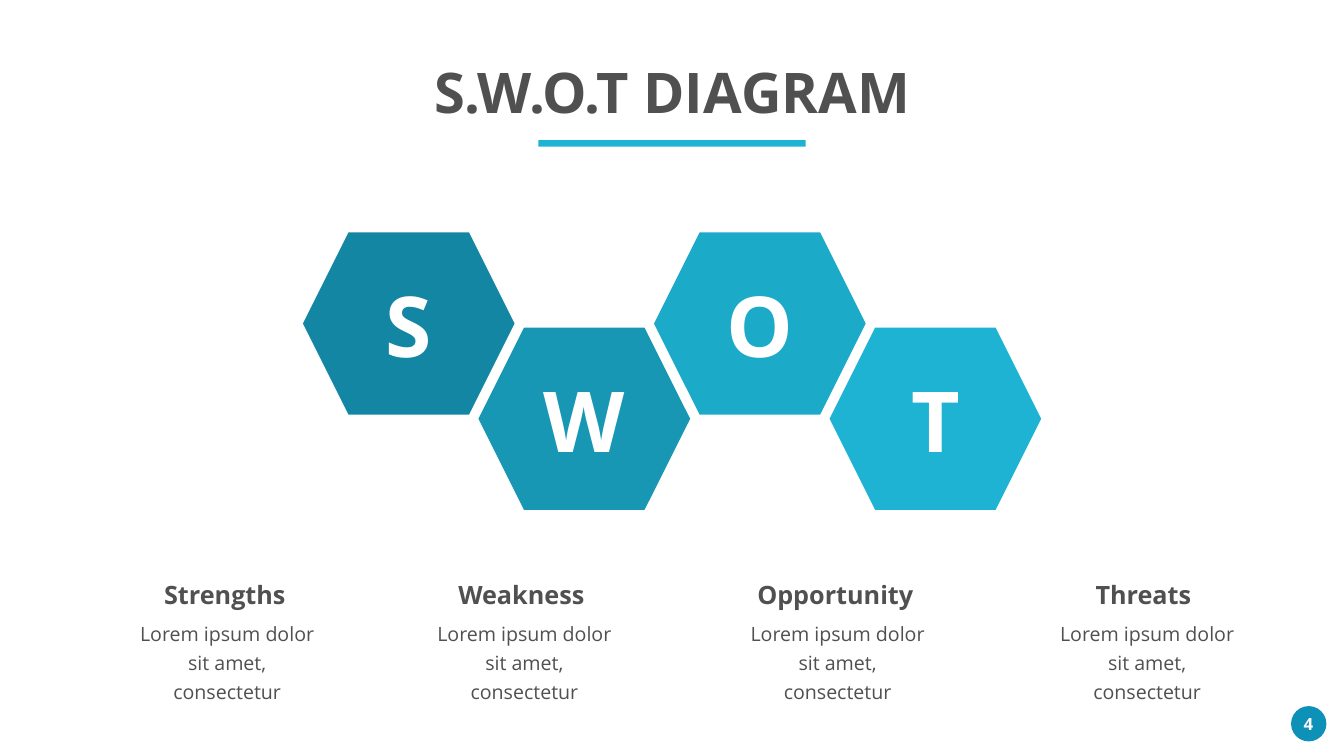
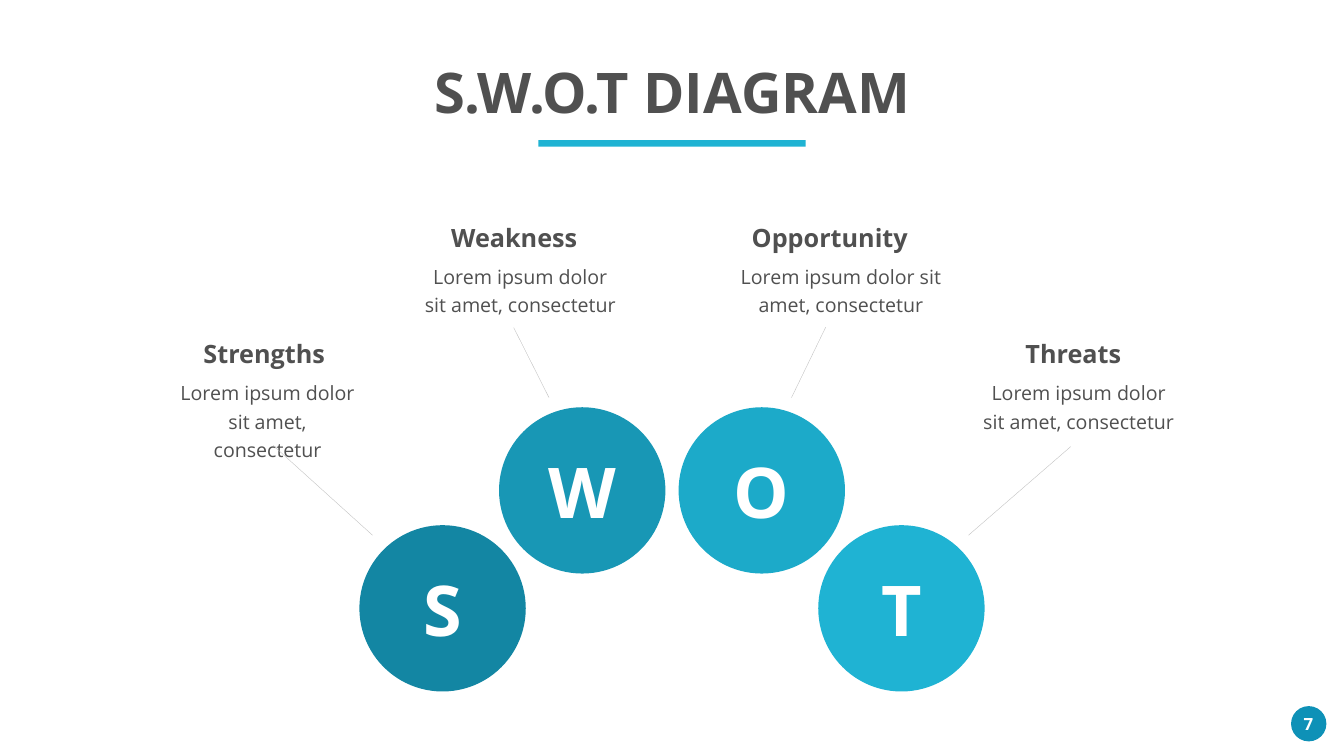
import dataclasses

import lxml.etree
import pptx
import pptx.dml.color
import pptx.enum.shapes
import pptx.enum.text
import pptx.oxml.ns
import pptx.util

SHAPE = pptx.enum.shapes.MSO_SHAPE
ANCHOR = pptx.enum.text.MSO_ANCHOR
FIXED = pptx.enum.text.MSO_AUTO_SIZE.NONE
CENTER = pptx.enum.text.PP_ALIGN.CENTER


@dataclasses.dataclass(frozen=True)
class Theme:
    font: str = "Open Sans"
    ink: str = "505050"
    white: str = "FFFFFF"
    accent: str = "1FB3D3"
    badge: str = "0E91B7"
    leader: str = "BFBFBF"
    series: tuple = ("1386A3", "1897B5", "1CAAC9", "1FB3D3")
    title_size: int = 80
    heading_size: int = 36
    body_size: int = 28
    body_leading: float = 40.8
    number_size: int = 24
    leader_width: float = 0.5


THEME = Theme()
LETTER_EMS = {"S": 0.56, "W": 0.98, "O": 0.81, "T": 0.61}
TOPICS = ("Strengths", "Weakness", "Opportunity", "Threats")
BODY = "Lorem ipsum dolor sit amet, consectetur"


def apply_format(target, values):
    for name, value in values.items():
        setattr(target, name, value)


def rgb(color):
    return pptx.dml.color.RGBColor.from_string(color)


class SlideBuilder:
    """Places elements by percentages of the slide's width and height."""

    def __init__(self, theme):
        self.theme = theme
        self.deck = pptx.Presentation()
        self.deck.slide_width = pptx.util.Inches(26.66)
        self.deck.slide_height = pptx.util.Inches(15)
        self.page = None

    def across(self, share):
        return round(self.deck.slide_width * share / 100)

    def down(self, share):
        return round(self.deck.slide_height * share / 100)

    def area(self, left, top, width, height):
        return self.across(left), self.down(top), self.across(width), self.down(height)

    def start(self, title, number):
        self.page = self.deck.slides.add_slide(self.deck.slide_layouts[5])
        self.shape(SHAPE.OVAL, (96.06, 93.4, 2.63, 4.67), self.theme.badge)
        span = self.text(str(number), (95.87, 94.07, 2.96, 3.33), self.theme.number_size,
                         color=self.theme.white, bold=True)
        span.font._element.set("spc", "300")
        self.shape(SHAPE.RECTANGLE, (40.06, 18.53, 19.88, 0.87), self.theme.accent)
        box = self.page.shapes.title
        names = ("left", "top", "width", "height")
        apply_format(box, dict(zip(names, self.area(29.52, 7.2, 41, 9.67))))
        self.fill_text(box, title, self.theme.title_size, bold=True)

    def fill_text(self, box, words, size, color=None, bold=False, wrap=True,
                  anchor=ANCHOR.MIDDLE, leading=None):
        frame = box.text_frame
        apply_format(frame, {"word_wrap": wrap, "auto_size": FIXED, "vertical_anchor": anchor})
        para = frame.paragraphs[0]
        apply_format(para, {"alignment": CENTER,
                            "line_spacing": pptx.util.Pt(leading) if leading else None})
        span = para.add_run()
        span.text = words
        apply_format(span.font, {"name": self.theme.font, "size": pptx.util.Pt(size),
                                 "bold": bold})
        span.font.color.rgb = rgb(color or self.theme.ink)
        return span

    def text(self, words, area, size, **style):
        box = self.page.shapes.add_textbox(*self.area(*area))
        return self.fill_text(box, words, size, **style)

    def shape(self, kind, area, color):
        shape = self.page.shapes.add_shape(kind, *self.area(*area))
        shape.shadow.inherit = False
        shape.fill.solid()
        shape.fill.fore_color.rgb = rgb(color)
        shape.line.fill.background()

    def letters(self, kind, places, width, height, size):
        for (left, top), color in zip(places, self.theme.series):
            self.shape(kind, (left, top, width, height), color)
        for (left, top), (letter, ems) in zip(places, LETTER_EMS.items()):
            box_width = 100 * pptx.util.Pt(ems * size + 14.4) / self.deck.slide_width
            box_height = 100 * pptx.util.Pt(1.21 * size + 7.2) / self.deck.slide_height
            area = (left + (width - box_width) / 2, top + (height - box_height) / 2,
                    box_width, box_height)
            self.text(letter, area, size, color=self.theme.white, bold=True, wrap=False)

    def topics(self, places):
        for topic, (left, top, width) in zip(TOPICS, places):
            self.text(BODY, (left, top, width, 8.33), self.theme.body_size,
                      anchor=ANCHOR.TOP, leading=self.theme.body_leading)
            self.text(topic, (left + 0.6, top - 5, 12.98, 4.73),
                      self.theme.heading_size, bold=True)

    def leader(self, start_x, start_y, end_x, end_y):
        line = self.page.shapes.add_connector(
            pptx.enum.shapes.MSO_CONNECTOR.STRAIGHT,
            self.across(start_x), self.down(start_y), self.across(end_x), self.down(end_y))
        line.line.color.rgb = rgb(self.theme.leader)
        line.line.width = pptx.util.Pt(self.theme.leader_width)
        lxml.etree.SubElement(line._element.spPr, pptx.oxml.ns.qn("a:effectLst"))


def build_hexagons(builder):
    builder.start("S.W.O.T DIAGRAM", 4)
    places = [(22.54 + 13.06 * index, (30.73, 43.33)[index % 2]) for index in range(4)]
    builder.letters(SHAPE.HEXAGON, places, 15.75, 24.13, 120)
    columns = ((9.64, 14.52), (31.7, 14.63), (55.06, 14.52), (77.98, 14.74))
    builder.topics([(left, 81.33, width) for left, width in columns])


def build_arch(builder):
    builder.start("S.W.O.T DIAGRAM", 7)
    outer, inner = 69.47, 53.87
    places = ((26.74, outer), (37.13, inner), (50.49, inner), (60.88, outer))
    builder.letters(SHAPE.OVAL, places, 12.38, 22, 100)
    builder.topics(((12.57, 49.4, 14.67), (31.17, 34, 15.08),
                    (54.65, 34, 15.83), (72.77, 49.4, 14.97)))
    for ends in ((20.33, 58.93, 27.72, 70.8), (79.67, 59.07, 72.06, 70.8),
                 (38.22, 43.33, 40.85, 52.6), (61.44, 43.27, 58.89, 52.6)):
        builder.leader(*ends)


def main():
    builder = SlideBuilder(THEME)
    build_hexagons(builder)
    build_arch(builder)
    builder.deck.save("out.pptx")


if __name__ == "__main__":
    main()
